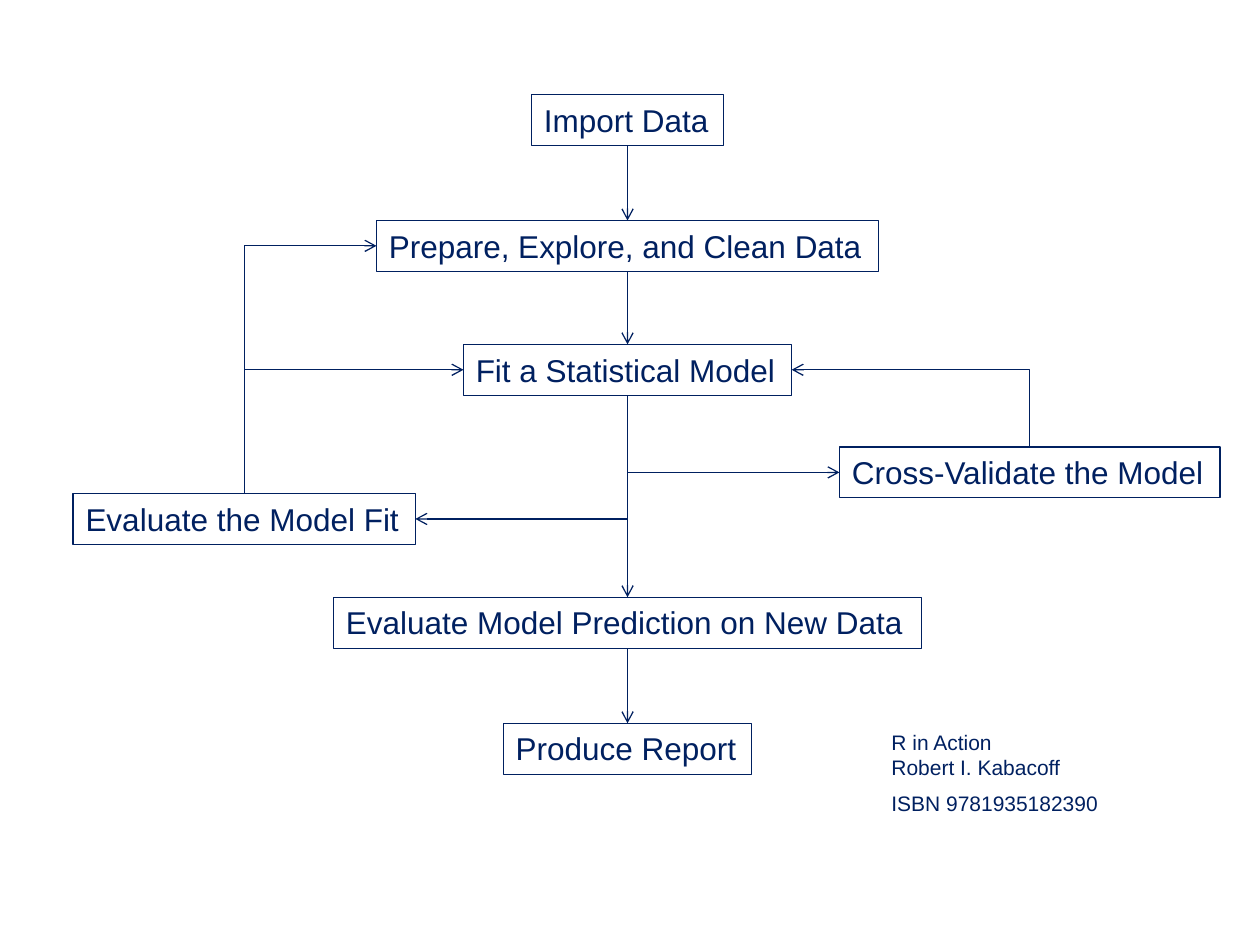
from itertools import pairwise

from lxml.etree import SubElement
from pptx import Presentation
from pptx.dml.color import RGBColor
from pptx.enum.shapes import MSO_CONNECTOR, MSO_SHAPE
from pptx.enum.text import MSO_ANCHOR, MSO_AUTO_SIZE, PP_ALIGN
from pptx.oxml.ns import qn
from pptx.util import Pt

COLORS = {"navy": "002060"}
FONT = "Arial"
AXIS = 358.6  # centre of the main column
BOX_HEIGHT = 29.1
TOP, LEFT, BOTTOM, RIGHT = range(4)

# Main column: text, top, width
STEPS = [
    ("Import Data", 54, 109.8),
    ("Prepare, Explore, and Clean Data", 126, 287),
    ("Fit a Statistical Model", 196.8, 187.6),
    ("Evaluate Model Prediction on New Data", 341.3, 336),
    ("Produce Report", 413.3, 142),
]


def navy():
    return RGBColor.from_string(COLORS["navy"])


def write(para, text, size=18, before=0):
    para.alignment = PP_ALIGN.LEFT
    para.space_before = Pt(before)
    span = para.add_run()
    span.text = text
    span.font.name = FONT
    span.font.size = Pt(size)
    span.font.color.rgb = navy()


def style_line(line):
    line.color.rgb = navy()
    line.width = Pt(0.75)


def add_box(page, text, left, top, width):
    box = page.shapes.add_shape(
        MSO_SHAPE.RECTANGLE, Pt(left), Pt(top), Pt(width), Pt(BOX_HEIGHT))
    box.shadow.inherit = False
    box.fill.background()
    style_line(box.line)
    frame = box.text_frame
    frame.word_wrap = False
    frame.auto_size = MSO_AUTO_SIZE.SHAPE_TO_FIT_TEXT
    frame.vertical_anchor = MSO_ANCHOR.TOP
    write(frame.paragraphs[0], text)
    return box


def add_arrow(page, kind, start=(0, 0)):
    arrow = page.shapes.add_connector(kind, *start, *start)
    style_line(arrow.line)
    SubElement(arrow.line._get_or_add_ln(), qn("a:tailEnd"), type="arrow")
    SubElement(arrow._element.spPr, qn("a:effectLst"))
    return arrow


def add_branch(page, target, side):
    """Arrow from the main column to the side of a box."""
    start = (Pt(AXIS), target.top + target.height // 2)
    arrow = add_arrow(page, MSO_CONNECTOR.STRAIGHT, start)
    arrow.end_connect(target, side)


def add_loop(page, source, target, side):
    """Arrow that rises from the top of one box and turns into another's side."""
    arrow = add_arrow(page, MSO_CONNECTOR.ELBOW)
    arrow.begin_connect(source, TOP)
    arrow.end_connect(target, side)
    run = abs(arrow.end_x - arrow.begin_x)
    rise = abs(arrow.end_y - arrow.begin_y)
    centre_x = (arrow.begin_x + arrow.end_x) // 2
    centre_y = (arrow.begin_y + arrow.end_y) // 2
    # A single-bend connector starts sideways, so it is turned by a quarter
    arrow._element.spPr.find(qn("a:prstGeom")).set("prst", "bentConnector2")
    arrow.left, arrow.top = centre_x - rise // 2, centre_y - run // 2
    arrow.width, arrow.height = rise, run
    frame = arrow._element.spPr.find(qn("a:xfrm"))
    frame.set("rot", str((90 if side == LEFT else 270) * 60000))
    frame.set("flipH", "1" if side == LEFT else "0")
    frame.set("flipV", "1")


def add_main_column(page):
    boxes = [add_box(page, text, AXIS - width / 2, top, width)
             for text, top, width in STEPS]
    for upper, lower in pairwise(boxes):
        arrow = add_arrow(page, MSO_CONNECTOR.STRAIGHT)
        arrow.begin_connect(upper, BOTTOM)
        arrow.end_connect(lower, TOP)
    return boxes


def add_credit(page, left, top, width, height):
    credit = page.shapes.add_textbox(Pt(left), Pt(top), Pt(width), Pt(height))
    frame = credit.text_frame
    frame.word_wrap = False
    write(frame.paragraphs[0], "R in Action", size=12)
    write(frame.add_paragraph(), "Robert I. Kabacoff", size=12)
    write(frame.add_paragraph(), "ISBN 9781935182390", size=12, before=6)


def main():
    deck = Presentation()
    deck.slide_width, deck.slide_height = Pt(720), Pt(540)
    page = deck.slides.add_slide(deck.slide_layouts[6])

    # Main steps
    _, prepare, fit, _, _ = add_main_column(page)

    # Side steps and their branches
    evaluate = add_box(page, "Evaluate the Model Fit", 41.8, 282, 195.6)
    validate = add_box(page, "Cross-Validate the Model", 479.7, 255.4, 217.4)
    add_branch(page, evaluate, RIGHT)
    add_branch(page, validate, LEFT)

    # Feedback loops
    add_loop(page, validate, fit, RIGHT)
    add_loop(page, evaluate, fit, LEFT)
    add_loop(page, evaluate, prepare, LEFT)

    # Book reference
    add_credit(page, 502.3, 413.3, 137.5, 58.3)

    deck.save("out.pptx")


if __name__ == "__main__":
    main()
